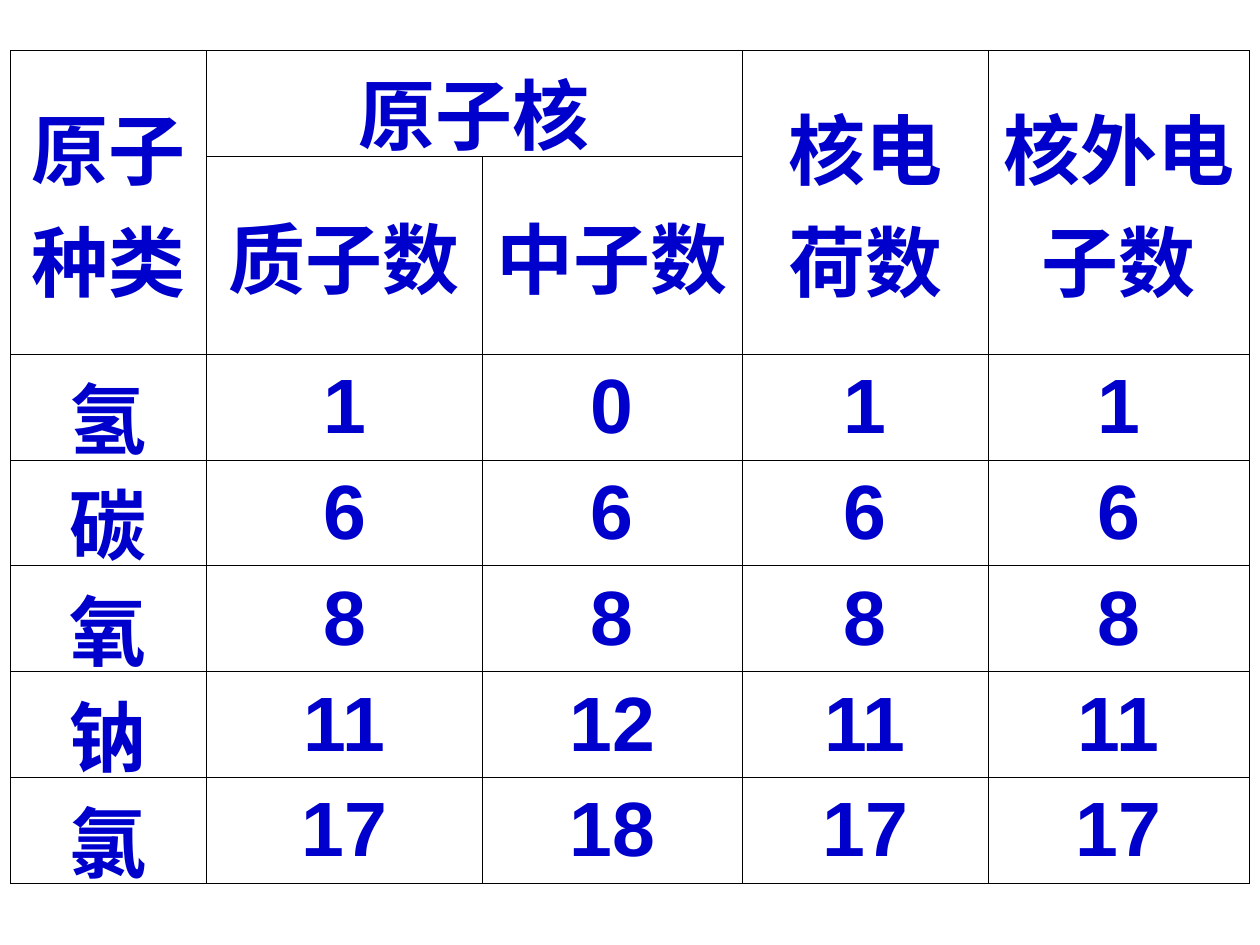
from dataclasses import dataclass

from lxml.etree import SubElement
from pptx import Presentation
from pptx.dml.color import RGBColor
from pptx.enum.text import MSO_ANCHOR, PP_ALIGN
from pptx.oxml.ns import qn
from pptx.util import Pt


@dataclass(frozen=True)
class Theme:
    font: str = "Arial"
    size: float = 44
    text: str = "0000CC"
    border: str = "000000"
    border_width: float = 0.34
    margin_x: float = 7.2
    margin_y: float = 3.6
    # Tight cells: Chinese lines are taller than the row allows
    name_line: float = 56.5
    name_bottom: float = -13
    header_margin: float = -8


class SlideBuilder:
    def __init__(self, slide, theme):
        self.s = slide
        self.theme = theme

    def table(self, left, top, widths, heights, rows, merges):
        frame = self.s.shapes.add_table(
            len(heights), len(widths), Pt(left), Pt(top),
            Pt(sum(widths)), Pt(sum(heights)))
        tbl = frame.table
        tbl.first_row = tbl.horz_banding = False
        for column, width in zip(tbl.columns, widths):
            column.width = Pt(width)
        for row, height in zip(tbl.rows, heights):
            row.height = Pt(height)
        for r1, c1, r2, c2 in merges:
            tbl.cell(r1, c1).merge(tbl.cell(r2, c2))
        for i, row in enumerate(rows):
            for j, text in enumerate(row):
                self.cell(tbl.cell(i, j), text, heights[i])

    def cell(self, cell, text, height):
        t = self.theme
        cell.margin_left = cell.margin_right = Pt(t.margin_x)
        cell.margin_top = cell.margin_bottom = Pt(t.margin_y)
        cell.vertical_anchor = MSO_ANCHOR.MIDDLE
        self.borders(cell)
        cell.fill.background()
        if text is None:
            return
        p = cell.text_frame.paragraphs[0]
        p.alignment = PP_ALIGN.CENTER
        if cell.is_merge_origin and cell.span_height > 1:
            cell.margin_top = cell.margin_bottom = Pt(t.header_margin)
        elif height < t.size * 1.5 and not text.isdigit():
            cell.margin_bottom = Pt(t.name_bottom)
            p.line_spacing = Pt(t.name_line)
        r = p.add_run()
        r.text = text
        r.font.name = t.font
        r.font.size = Pt(t.size)
        r.font.bold = True
        r.font.color.rgb = RGBColor.from_string(t.text)

    def borders(self, cell):
        tc_pr = cell._tc.get_or_add_tcPr()
        for side in ("a:lnL", "a:lnR", "a:lnT", "a:lnB"):
            ln = SubElement(tc_pr, qn(side), w=str(Pt(self.theme.border_width)))
            fill = SubElement(ln, qn("a:solidFill"))
            SubElement(fill, qn("a:srgbClr"), val=self.theme.border)


def main():
    prs = Presentation()
    prs.slide_width, prs.slide_height = Pt(720), Pt(540)
    slide = SlideBuilder(prs.slides.add_slide(prs.slide_layouts[6]), Theme())

    # Two header rows, with None where a merged cell continues
    header = [
        ("原子种类", "原子核", None, "核电荷数", "核外电子数"),
        (None, "质子数", "中子数", None, None),
    ]
    merges = [(0, 0, 1, 0), (0, 1, 0, 2), (0, 3, 1, 3), (0, 4, 1, 4)]

    # Nuclear charge and electron count both equal the proton count
    atoms = [("氢", 1, 0), ("碳", 6, 6), ("氧", 8, 8), ("钠", 11, 12), ("氯", 17, 18)]
    body = [(name, str(protons), str(neutrons), str(protons), str(protons))
            for name, protons, neutrons in atoms]

    # Atomic structure table
    row_height = 60.5
    slide.table(
        left=5.9, top=28.8,
        widths=[112.2, 157.6, 148.4, 140.6, 149.2],
        heights=[row_height, 113] + [row_height] * len(atoms),
        rows=header + body, merges=merges)

    prs.save("out.pptx")


if __name__ == "__main__":
    main()
